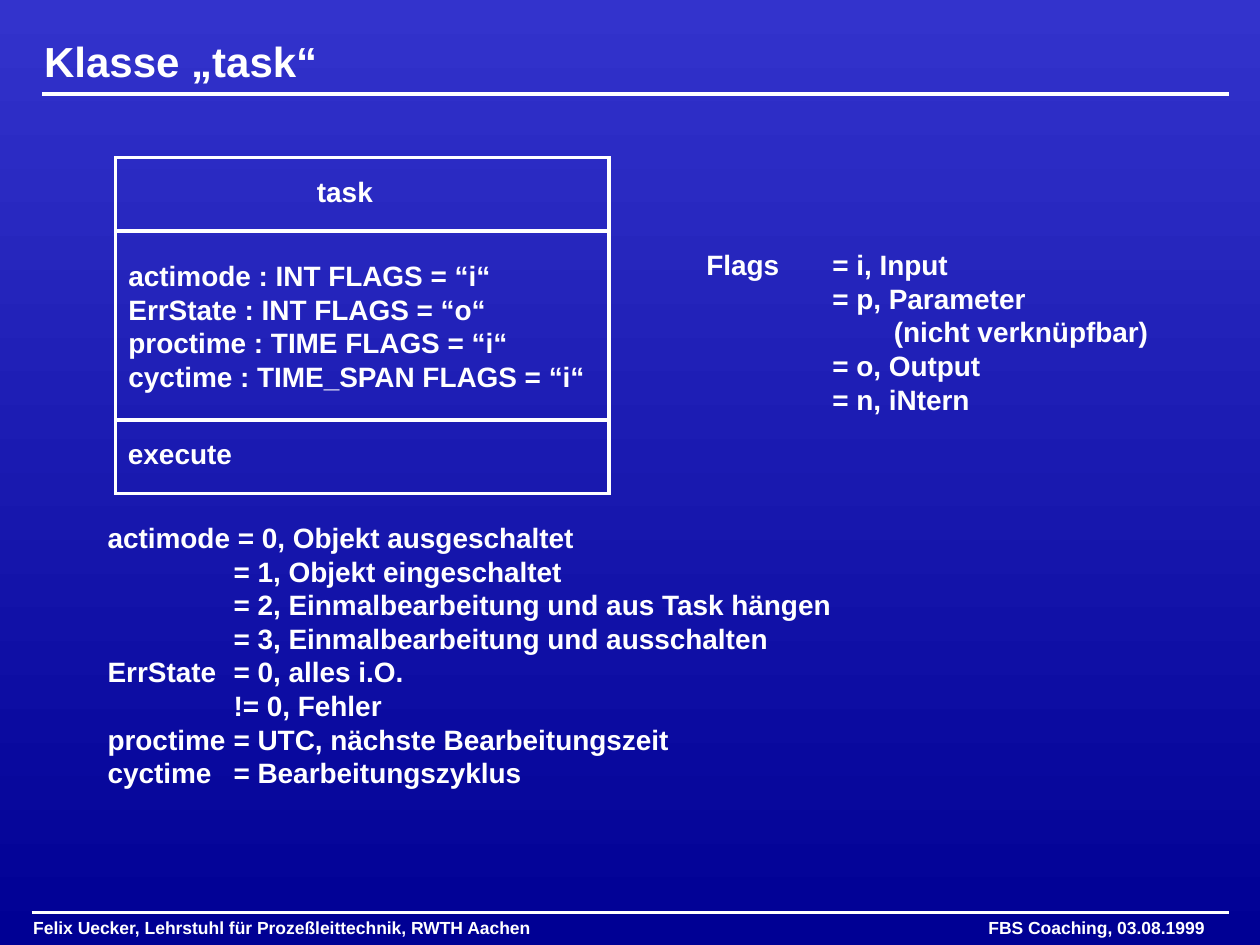
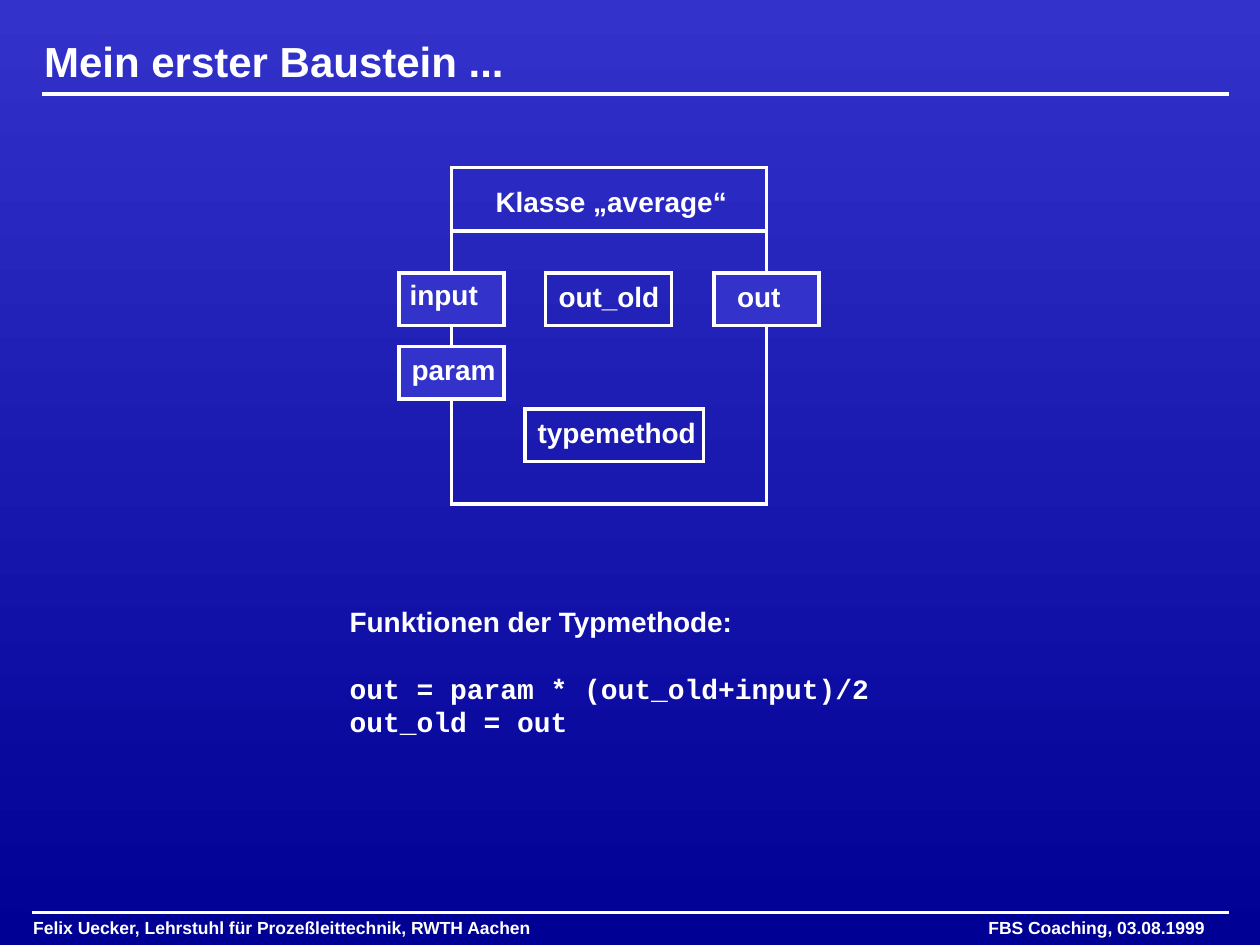
from lxml.etree import SubElement
from pptx import Presentation
from pptx.dml.color import RGBColor
from pptx.enum.shapes import MSO_CONNECTOR, MSO_SHAPE
from pptx.enum.text import MSO_ANCHOR, PP_ALIGN
from pptx.oxml.ns import qn
from pptx.util import Cm, Pt

WHITE, BRIGHT_BLUE, DARK_BLUE = "FFFFFF", "3333CC", "000094"
SANS, MONO = "Arial", "Courier New"
BODY_SIZE, TITLE_SIZE, FOOTER_SIZE = 16, 24, 10
TAB_STOPS = (2.54, 3.78)

FOOTER_LEFT = "Felix Uecker, Lehrstuhl für Prozeßleittechnik, RWTH Aachen"
FOOTER_RIGHT = "FBS Coaching, 03.08.1999"

# Boxes are (left, top, width, height) in centimetres.
TASK_CLASS = (2.33, 3.18, 9.95, 6.77)
TASK_DIVIDERS = (4.66, 8.47)
TASK_TEXTS = [
    ((6.14, 3.39, 1.9, 0.94), ["task"]),
    ((2.34, 5.09, 9.94, 2.97), [
        "actimode : INT FLAGS = “i“",
        "ErrState : INT FLAGS = “o“",
        "proctime : TIME FLAGS = “i“",
        "cyctime : TIME_SPAN FLAGS = “i“",
    ]),
    ((2.33, 8.68, 2.9, 0.94), ["execute"]),
    ((1.92, 10.37, 15.5, 5.69), [
        "actimode = 0, Objekt ausgeschaltet",
        "\t= 1, Objekt eingeschaltet",
        "\t= 2, Einmalbearbeitung und aus Task hängen",
        "\t= 3, Einmalbearbeitung und ausschalten",
        "ErrState\t= 0, alles i.O.",
        "\t!= 0, Fehler",
        "proctime\t= UTC, nächste Bearbeitungszeit",
        "cyctime\t= Bearbeitungszyklus",
    ]),
    ((13.99, 4.87, 9.8, 3.66), [
        "Flags\t= i, Input",
        "\t= p, Parameter",
        "\t\t(nicht verknüpfbar)",
        "\t= o, Output",
        "\t= n, iNtern",
    ]),
]

AVERAGE_CLASS = (9.1, 3.38, 6.35, 6.78)
AVERAGE_DIVIDERS = (4.66,)
AVERAGE_TITLE = ((9.74, 3.6, 5.6, 0.94), ["Klasse „average“"])
MEMBER_HEIGHT = 1.06
# name, left, top, width, fill, left inset, top inset
MEMBERS = [
    ("input", 8.04, 5.5, 2.12, BRIGHT_BLUE, 0.22, 0.09),
    ("param", 8.04, 6.99, 2.12, BRIGHT_BLUE, 0.26, 0.12),
    ("out", 14.39, 5.5, 2.12, BRIGHT_BLUE, 0.47, 0.13),
    ("out_old", 11, 5.5, 2.54, None, 0.26, 0.13),
    ("typemethod", 10.58, 8.25, 3.6, None, 0.26, 0.13),
]
FUNCTIONS = ((6.8, 12.06, 11.6, 2.97), [
    "Funktionen der Typmethode:",
    "out = param * (out_old+input)/2",
    "out_old = out",
])


def rgb(color):
    return RGBColor.from_string(color)


def format_paragraph(paragraph, size=BODY_SIZE, font=SANS, align=PP_ALIGN.LEFT):
    paragraph.alignment = align
    for run in paragraph.runs:
        run.font.name = font
        run.font.size = Pt(size)
        run.font.bold = True
        run.font.color.rgb = rgb(WHITE)


def set_tab_stops(paragraph):
    tab_list = SubElement(paragraph._p.get_or_add_pPr(), qn("a:tabLst"))
    for position in TAB_STOPS:
        SubElement(tab_list, qn("a:tab"), pos=str(Cm(position)), algn="l")


def add_text(slide, box, lines, anchor=MSO_ANCHOR.TOP, **style):
    """Add a text box with one paragraph per line and return its paragraphs."""
    frame = slide.shapes.add_textbox(*map(Cm, box)).text_frame
    frame.word_wrap = True
    frame.vertical_anchor = anchor
    frame.text = "\n".join(lines)
    for paragraph in frame.paragraphs:
        format_paragraph(paragraph, **style)
        if "\t" in paragraph.text:
            set_tab_stops(paragraph)
    return frame.paragraphs


def add_rule(slide, left, right, y):
    """Add a horizontal white line."""
    rule = slide.shapes.add_connector(
        MSO_CONNECTOR.STRAIGHT, Cm(left), Cm(y), Cm(right), Cm(y))
    rule.line.color.rgb = rgb(WHITE)
    rule.line.width = Pt(2)
    SubElement(rule._element.spPr, qn("a:effectLst"))


def add_box(slide, box, fill=None):
    """Add a rectangle with a white, sharp-cornered outline."""
    shape = slide.shapes.add_shape(MSO_SHAPE.RECTANGLE, *map(Cm, box))
    shape.shadow.inherit = False
    shape.line.color.rgb = rgb(WHITE)
    shape.line.width = Pt(2)
    outline = shape._element.spPr.find(qn("a:ln"))
    SubElement(outline, qn("a:miter"), lim="800000")
    if fill:
        shape.fill.solid()
        shape.fill.fore_color.rgb = rgb(fill)
    else:
        shape.fill.background()
    return shape


def add_class_box(slide, box, dividers):
    add_box(slide, box)
    left, _, width, _ = box
    for y in dividers:
        add_rule(slide, left, left + width, y)


def add_member(slide, name, left, top, width, fill, inset_left, inset_top):
    shape = add_box(slide, (left, top, width, MEMBER_HEIGHT), fill)
    frame = shape.text_frame
    frame.word_wrap = True
    frame.vertical_anchor = MSO_ANCHOR.TOP
    frame.margin_left, frame.margin_top = Cm(inset_left), Cm(inset_top)
    frame.margin_right = frame.margin_bottom = 0
    frame.text = name
    format_paragraph(frame.paragraphs[0])


def set_background(master):
    fill = master.background.fill
    fill.gradient()
    fill.gradient_angle = 270
    for stop, color in zip(fill.gradient_stops, (BRIGHT_BLUE, DARK_BLUE)):
        stop.color.rgb = rgb(color)


def add_titled_slide(presentation, title):
    """Add a slide with the shared title, rules and footer."""
    slide = presentation.slides.add_slide(presentation.slide_layouts[6])
    add_rule(slide, 0.85, 24.77, 1.89)
    add_rule(slide, 0.64, 24.77, 18.4)
    add_text(slide, (0.42, 18.36, 12.2, 0.69), [FOOTER_LEFT], size=FOOTER_SIZE)
    add_text(slide, (16.5, 18.36, 8.03, 0.69), [FOOTER_RIGHT],
             size=FOOTER_SIZE, align=PP_ALIGN.RIGHT)
    add_text(slide, (0.64, 0.61, 24.13, 1.22), [title],
             anchor=MSO_ANCHOR.MIDDLE, size=TITLE_SIZE)
    return slide


def build_task_slide(presentation):
    slide = add_titled_slide(presentation, "Klasse „task“")
    add_class_box(slide, TASK_CLASS, TASK_DIVIDERS)
    for box, lines in TASK_TEXTS:
        add_text(slide, box, lines)


def build_average_slide(presentation):
    slide = add_titled_slide(presentation, "Mein erster Baustein ...")
    add_class_box(slide, AVERAGE_CLASS, AVERAGE_DIVIDERS)
    add_text(slide, *AVERAGE_TITLE)
    for member in MEMBERS:
        add_member(slide, *member)
    _, *formulas = add_text(slide, *FUNCTIONS)
    for formula in formulas:
        format_paragraph(formula, font=MONO)
    formulas[0].space_before = Pt(19)


def main():
    presentation = Presentation()
    presentation.slide_width, presentation.slide_height = Cm(25.4), Cm(19.05)
    set_background(presentation.slide_master)
    build_task_slide(presentation)
    build_average_slide(presentation)
    presentation.save("out.pptx")


if __name__ == "__main__":
    main()
